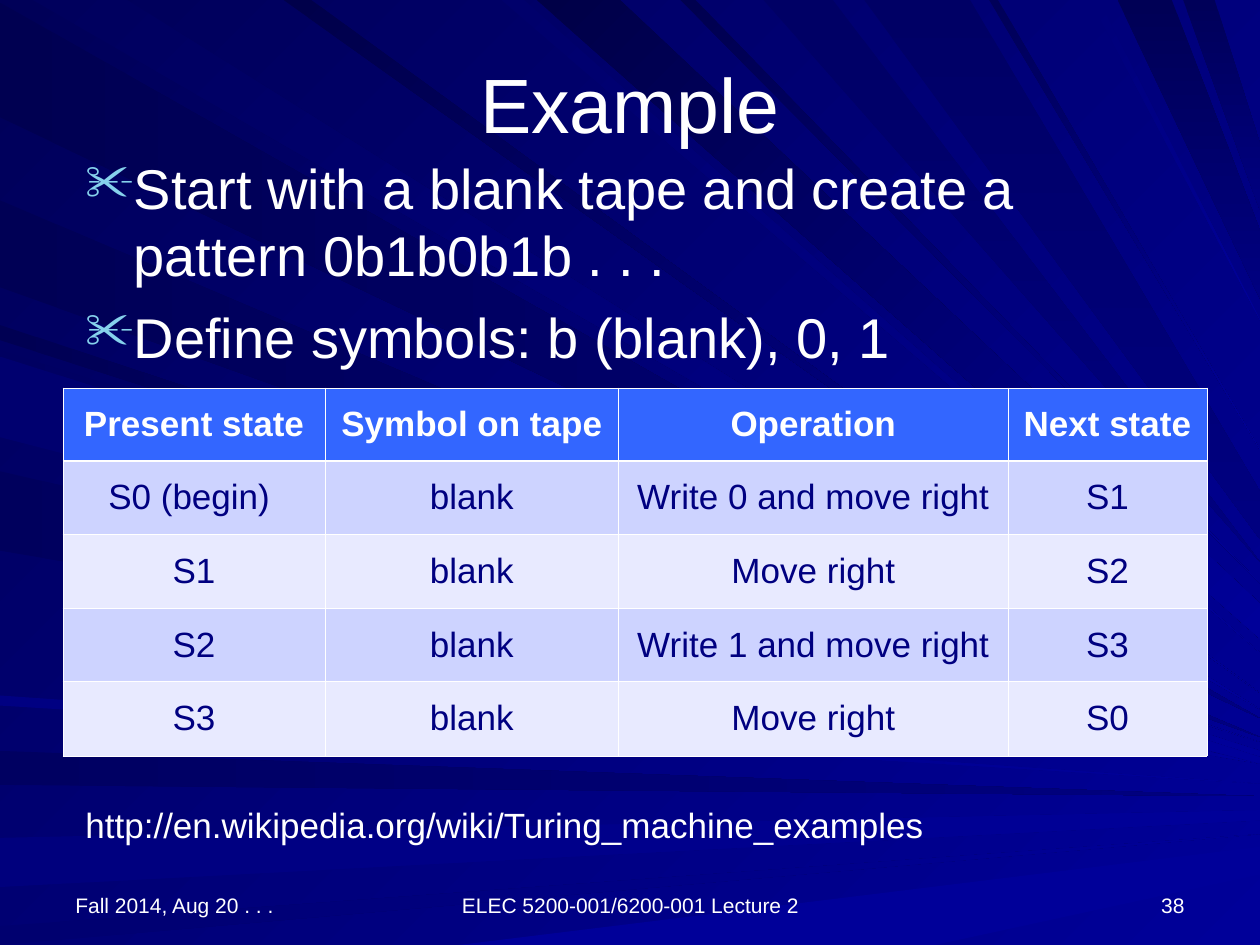
import pptx
import pptx.util
import pptx.dml.color
import pptx.enum.text
import pptx.oxml
import pptx.oxml.ns
import lxml.etree

ALIGN = pptx.enum.text.PP_ALIGN
ANCHOR = pptx.enum.text.MSO_ANCHOR
UNIT = 9144
WIDE, HIGH = 1000, 750

RAYS = [
    ("left", "000051 000080", 2, 93, 570),
    ("top", "00005D 000099", 26, 101, 563),
    ("left", "000061 000080", 596, 623, 632),
    ("left", "00007D 000099", 665, 704, 643, 651),
    ("left", "00006F 000099", 735, 750, 662),
    ("base", "000099", 364, 742, 672, 694),
    ("left", "000053 000099", 258, 270, 589),
    ("left", "000055 000080", 159, 228, 585),
    ("top", "00006B 000099", 398, 416, 518),
    ("top", "000047 000099", 426, 492, 507, 479),
    ("top", "00004F 000099", 540, 552, 463),
    ("top", "000065 000080", 606, 661, 446),
    ("top", "000055 000080", 887, 930, 237, 183),
    ("top", "000059 000080", 939, 964, 167, 114),
    ("left", "000061 000099", 278, 342, 602, 596),
    ("left", "00005D 000099", 374, 437, 606),
    ("left", "000082 000099", 552, 560, 622),
    ("top", "00004A 000099", 225, 247, 550),
    ("top", "000065 000080", 686, 770, 428, 390),
    ("top", "000058 000099", 785, 792, 357),
    ("top", "000079 000099", 865, 872, 254),
    ("left", "00006F 000099", 283, 347, 606, 601),
]

ROWS = [
    ["Present state", "Symbol on tape", "Operation", "Next state"],
    ["S0 (begin) ", "blank", "Write 0 and move right", "S1"],
    ["S1", "blank", "Move right", "S2"],
    ["S2", "blank", "Write 1 and move right", "S3"],
    ["S3", "blank", "Move right", "S0"],
]


def px(num):
    return pptx.util.Emu(num * UNIT)


def tint(code):
    return pptx.dml.color.RGBColor.from_string(code)


def paint(fill, tones, angle=0):
    codes = tones.split()
    if len(codes) == 1:
        fill.solid()
        fill.fore_color.rgb = tint(codes[0])
        return
    fill.gradient()
    fill.gradient_angle = 360 - angle
    for stop, code in zip(fill.gradient_stops, codes):
        stop.color.rgb = tint(code)


def add(node, tag, **attrs):
    child = lxml.etree.SubElement(node, pptx.oxml.ns.qn(tag))
    for key, val in attrs.items():
        child.set(key, str(val))
    return child


class Deck:
    font = "Arial"
    white = "FFFFFF"
    navy = "000080"
    head = "3366FF"
    bands = ["E8EAFF", "CDD3FF"]
    mark = "86D1EC"

    def __init__(self):
        self.show = pptx.Presentation()
        self.show.slide_width, self.show.slide_height = px(WIDE), px(HIGH)
        self.slide = self.show.slides.add_slide(self.show.slide_layouts[6])
        paint(self.slide.background.fill, "000058 000099", 45)

    def style(self, para, size, color, align, bold=False):
        para.alignment = align
        for run in para.runs:
            run.font.name = self.font
            run.font.size = pptx.util.Pt(size)
            run.font.bold = bold
            run.font.color.rgb = tint(color)

    def ray(self, side, tones, start, end, *far):
        if side == "left":
            near = [(0, start), (0, end)]
        else:
            rim = HIGH if side == "base" else 0
            near = [(start, rim), (end, rim)]
        tips = [(WIDE, y) for y in far]
        if side == "top":
            tips.reverse()
            angle = 90 if tones.endswith("80") else 45
        else:
            tips.sort(reverse=True)
            angle = 0
        form = self.slide.shapes.build_freeform(*near[0], scale=UNIT)
        form.add_line_segments(near[1:] + tips, close=True)
        shape = form.convert_to_shape()
        shape.shadow.inherit = False
        shape.line.fill.background()
        paint(shape.fill, tones, angle)

    def text(self, box, words, size, align=ALIGN.LEFT, anchor=ANCHOR.TOP):
        frame = self.slide.shapes.add_textbox(*map(px, box)).text_frame
        frame.word_wrap = True
        frame.vertical_anchor = anchor
        frame.text = words
        for para in frame.paragraphs:
            self.style(para, size, self.white, align)
        return frame

    def list(self, box, items, size):
        frame = self.text(box, "\n".join(items), size)
        for i, para in enumerate(frame.paragraphs):
            if i:
                para.space_before = pptx.util.Pt(8)
            props = para._p.get_or_add_pPr()
            props.set("marL", str(px(38)))
            props.set("indent", str(px(-38)))
            add(add(props, "a:buClr"), "a:srgbClr", val=self.mark)
            add(props, "a:buSzPct", val=90000)
            add(props, "a:buChar", char="✂")

    def edge(self, cell, side, width):
        line = add(cell._tc.get_or_add_tcPr(), "a:ln" + side, w=pptx.util.Pt(width))
        add(add(line, "a:solidFill"), "a:srgbClr", val=self.white)

    def table(self, box, wides, rows, size):
        count = len(rows)
        grid = self.slide.shapes.add_table(count, len(wides), *map(px, box)).table
        for col, wide in zip(grid.columns, wides):
            col.width = px(wide)
        for i, row in enumerate(rows):
            grid.rows[i].height = px(box[3] * (i + 1) // count - box[3] * i // count)
            for j, words in enumerate(row):
                cell = grid.cell(i, j)
                cell.text = words
                cell.vertical_anchor = ANCHOR.MIDDLE
                for side in "LRTB":
                    thick = (i, side) in [(0, "B"), (1, "T")]
                    self.edge(cell, side, 1.47 if thick else 0.45)
                paint(cell.fill, self.bands[i % 2] if i else self.head)
                color = self.navy if i else self.white
                self.style(cell.text_frame.paragraphs[0], size, color, ALIGN.CENTER, i == 0)


def main():
    deck = Deck()
    for ray in RAYS:
        deck.ray(*ray)
    deck.text((50, 30, 900, 103), "Example", 44, ALIGN.CENTER, ANCHOR.MIDDLE)
    deck.list((58, 117, 900, 183), [
        "Start with a blank tape and create a pattern 0b1b0b1b . . .",
        "Define symbols: b (blank), 0, 1",
    ], 32)
    for left, wide, words, align in [
        (50, 233, "Fall 2014, Aug 20 . . .", ALIGN.LEFT),
        (342, 317, "ELEC 5200-001/6200-001 Lecture 2", ALIGN.CENTER),
        (717, 233, "38", ALIGN.RIGHT),
    ]:
        deck.text((left, 683, wide, 50), words, 12, align, ANCHOR.BOTTOM)
    deck.table((50, 308, 908, 292), [208, 233, 309, 158], ROWS, 20)
    deck.text((58, 633, 775, 44), "http://en.wikipedia.org/wiki/Turing_machine_examples", 20)
    deck.show.save("out.pptx")


if __name__ == "__main__":
    main()
